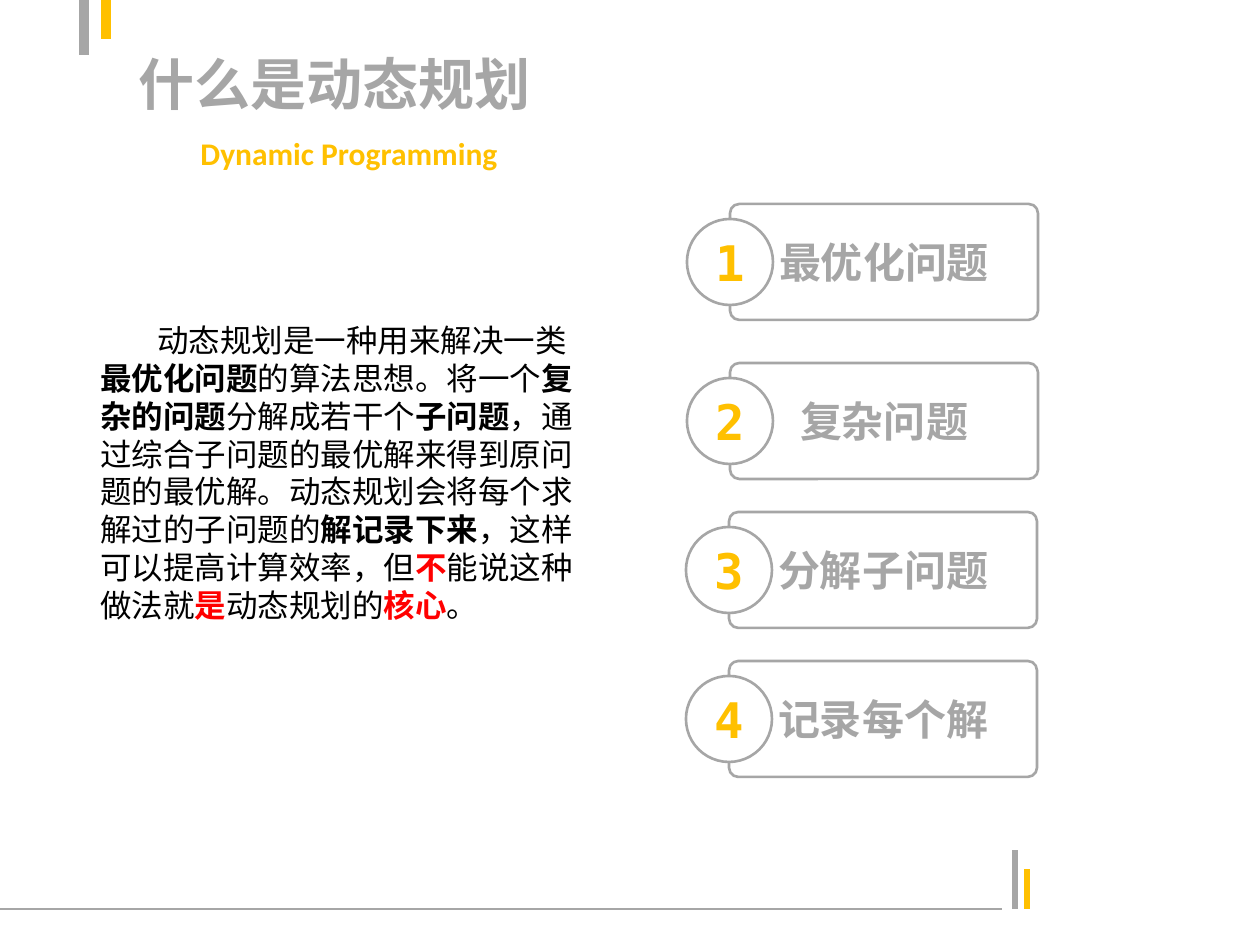
from dataclasses import dataclass
from typing import Any

from lxml import etree
from pptx import Presentation
from pptx.dml.color import RGBColor
from pptx.enum.shapes import MSO_CONNECTOR, MSO_SHAPE
from pptx.enum.text import MSO_ANCHOR, PP_ALIGN
from pptx.oxml.ns import qn
from pptx.util import Emu, Pt

LEFT, CENTER = PP_ALIGN.LEFT, PP_ALIGN.CENTER
TOP, MIDDLE = MSO_ANCHOR.TOP, MSO_ANCHOR.MIDDLE
STRAIGHT = MSO_CONNECTOR.STRAIGHT
ROUNDED, OVAL = MSO_SHAPE.ROUNDED_RECTANGLE, MSO_SHAPE.OVAL

GRAY, GOLD, WHITE, BLACK, RED = "A6A6A6", "FFC000", "FFFFFF", "000000", "FF0000"
HEADING_FONT = "Noto Sans CJK SC"
NUMBER_FONT = "DejaVu Sans Mono"
EMU_PER_PX = 914400 / 126

CARD_WIDTH, CARD_HEIGHT = 308, 116
BADGE_SIZE = 86


@dataclass
class Rule:
    x1: int
    y1: int
    x2: int
    y2: int
    color: str
    weight: float


@dataclass
class Step:
    left: int
    top: int
    label: str


@dataclass
class Span:
    text: str
    bold: bool = False
    color: str = BLACK


RULES = [
    Rule(-5, 909, 1002, 909, GRAY, 0.75),
    Rule(1015, 909, 1015, 850, GRAY, 3),
    Rule(1027, 909, 1027, 869, GOLD, 3),
    Rule(84, 55, 84, -4, GRAY, 6),
    Rule(106, 0, 106, 39, GOLD, 6),
]

STEPS = [
    Step(730, 204, "最优化问题"),
    Step(730, 363, "复杂问题"),
    Step(729, 512, "分解子问题"),
    Step(729, 661, "记录每个解"),
]

DEFINITION = [
    Span("动态规划是一种用来解决一类"),
    Span("最优化问题", True),
    Span("的算法思想。将一个"),
    Span("复杂的问题", True),
    Span("分解成若干个"),
    Span("子问题", True),
    Span("，通过综合子问题的最优解来得到原问题的最优解。动态规划会将每个求解过的子问题的"),
    Span("解记录下来", True),
    Span("，这样可以提高计算效率，但"),
    Span("不", True, RED),
    Span("能说这种做法就"),
    Span("是", True, RED),
    Span("动态规划的"),
    Span("核心", True, RED),
    Span("。"),
]


def px(length: float) -> Emu:
    return Emu(round(length * EMU_PER_PX))


def rgb(color: str) -> RGBColor:
    return RGBColor.from_string(color)


def write(shape: Any, spans: list[Span], *, size: int, font: str,
          align: PP_ALIGN = LEFT, anchor: MSO_ANCHOR = TOP, wrap: bool = False,
          indent: int = 0, leading: float | None = None) -> None:
    frame = shape.text_frame
    frame.word_wrap = wrap
    frame.vertical_anchor = anchor
    paragraph = frame.paragraphs[0]
    paragraph.alignment = align
    if leading:
        paragraph.line_spacing = Pt(leading)
    if indent:
        paragraph._p.get_or_add_pPr().set("indent", str(px(indent)))
    for span in spans:
        run = paragraph.add_run()
        run.text = span.text
        run.font.size = Pt(size)
        run.font.bold = span.bold
        run.font.color.rgb = rgb(span.color)
        run.font.name = font
        east_asian = etree.SubElement(run._r.get_or_add_rPr(), qn("a:ea"))
        east_asian.set("typeface", font)


def draw_rule(slide: Any, rule: Rule) -> None:
    connector = slide.shapes.add_connector(
        STRAIGHT, px(rule.x1), px(rule.y1), px(rule.x2), px(rule.y2))
    connector.line.color.rgb = rgb(rule.color)
    connector.line.width = Pt(rule.weight)
    etree.SubElement(connector._element.spPr, qn("a:effectLst"))


def add_outline(slide: Any, kind: MSO_SHAPE, left: int, top: int,
                width: int, height: int) -> Any:
    outline = slide.shapes.add_shape(kind, px(left), px(top), px(width), px(height))
    outline.shadow.inherit = False
    outline.line.color.rgb = rgb(GRAY)
    outline.line.width = Pt(1.5)
    return outline


def draw_step(slide: Any, number: int, step: Step) -> None:
    card = add_outline(slide, ROUNDED, step.left, step.top, CARD_WIDTH, CARD_HEIGHT)
    card.adjustments[0] = 0.08
    card.fill.background()
    write(card, [Span(step.label, True, GRAY)], size=24, font=HEADING_FONT,
          align=CENTER, anchor=MIDDLE)

    badge = add_outline(slide, OVAL, step.left - BADGE_SIZE // 2,
                        step.top + (CARD_HEIGHT - BADGE_SIZE) // 2,
                        BADGE_SIZE, BADGE_SIZE)
    badge.fill.solid()
    badge.fill.fore_color.rgb = rgb(WHITE)
    write(badge, [Span(str(number), True, GOLD)], size=28, font=NUMBER_FONT,
          align=CENTER, anchor=MIDDLE)


def main() -> None:
    deck = Presentation()
    deck.slide_width, deck.slide_height = px(1260), px(945)
    slide = deck.slides.add_slide(deck.slide_layouts[5])

    for rule in RULES:
        draw_rule(slide, rule)

    title = slide.shapes.title
    title.left, title.top, title.width, title.height = px(126), px(4), px(484), px(158)
    write(title, [Span("什么是动态规划", True, GRAY)], size=32, font=HEADING_FONT,
          anchor=MIDDLE, wrap=True)

    for number, step in enumerate(STEPS, start=1):
        draw_step(slide, number, step)

    subtitle = slide.shapes.add_textbox(px(188), px(128), px(322), px(50))
    write(subtitle, [Span("Dynamic Programming", True, GOLD)], size=18, font="Calibri")

    definition = slide.shapes.add_textbox(px(88), px(315), px(508), px(315))
    write(definition, DEFINITION, size=18, font="Arial", wrap=True,
          indent=57, leading=21.6)

    deck.save("out.pptx")


if __name__ == "__main__":
    main()
